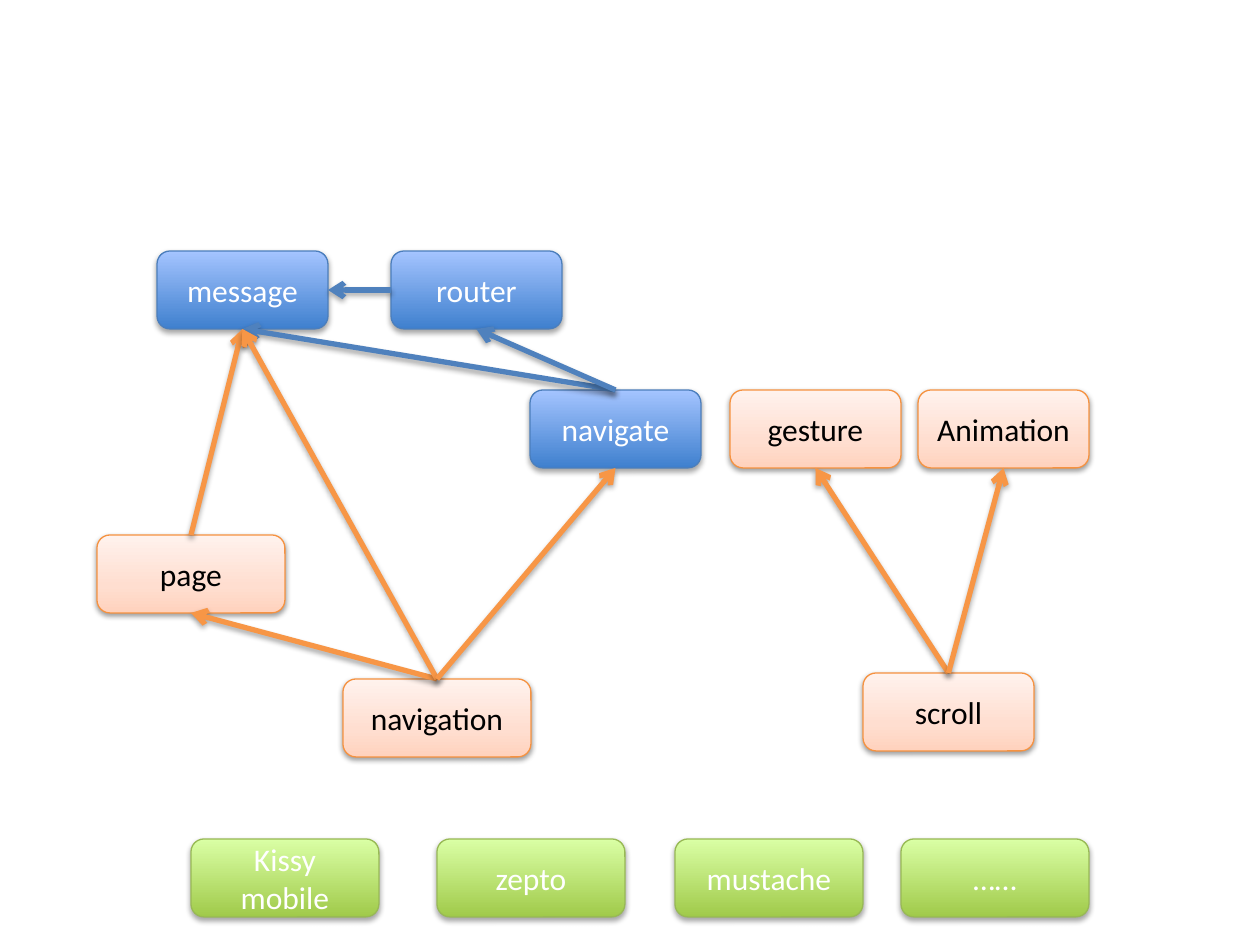
from collections import namedtuple

from lxml import etree
from pptx import Presentation
from pptx.dml.color import RGBColor
from pptx.enum.shapes import MSO_CONNECTOR, MSO_SHAPE
from pptx.enum.text import MSO_ANCHOR, PP_ALIGN
from pptx.oxml.ns import qn
from pptx.util import Pt

ROUND = MSO_SHAPE.ROUNDED_RECTANGLE
LINE = MSO_CONNECTOR.STRAIGHT
CENTER = PP_ALIGN.CENTER
MIDDLE = MSO_ANCHOR.MIDDLE

SCALE = 914400 / 126
NARROW, WIDE, HIGH = 171, 188, 78
TOP, LEFT, BOTTOM, RIGHT = range(4)

BLACK = RGBColor(0x00, 0x00, 0x00)
WHITE = RGBColor(0xFF, 0xFF, 0xFF)
BLUE = RGBColor(0x4F, 0x81, 0xBD)
ORANGE = RGBColor(0xF7, 0x96, 0x46)

# stops: (percent, colour) from bottom to top; shade: (alpha percent, distance)
Look = namedtuple("Look", "stops edge ink shade")
DEEP = (35, 23000)
SOFT = (38, 20000)
CORE = Look([(0, RGBColor(0x3F, 0x80, 0xCE)), (100, RGBColor(0xA4, 0xC4, 0xFF))],
            RGBColor(0x4B, 0x7E, 0xBC), WHITE, DEEP)
PART = Look([(0, RGBColor(0xFF, 0xD2, 0xBD)), (35, RGBColor(0xFF, 0xDE, 0xD0)),
             (100, RGBColor(0xFF, 0xF2, 0xED))],
            RGBColor(0xF6, 0x92, 0x40), BLACK, SOFT)
LIB = Look([(0, RGBColor(0xA0, 0xCA, 0x4A)), (100, RGBColor(0xDA, 0xFF, 0xA5))],
           RGBColor(0x98, 0xB9, 0x55), WHITE, DEEP)


def emu(px):
    """Turn pixels into EMU."""
    return round(px * SCALE)


def add(parent, tag, **attrs):
    """Append a drawing element with its attributes."""
    return etree.SubElement(parent, qn(tag), {k: str(v) for k, v in attrs.items()})


def tint(parent, color):
    """Append an RGB colour element."""
    return add(parent, "a:srgbClr", val=color)


def shade(props, alpha, dist):
    """Append a shadow that falls straight down."""
    drop = add(add(props, "a:effectLst"), "a:outerShdw", blurRad=40000,
               dist=dist, dir=5400000, rotWithShape=0)
    add(tint(drop, BLACK), "a:alpha", val=alpha * 1000)


def node(slide, text, look, x, y, width=NARROW):
    """Draw one labelled module box."""
    box = slide.shapes.add_shape(ROUND, emu(x), emu(y), emu(width), emu(HIGH))
    box.fill.gradient()
    box.fill.gradient_angle = 90
    props = box._element.spPr
    stops = props.find(".//" + qn("a:gsLst"))
    for stop in list(stops):
        stops.remove(stop)
    for pos, color in look.stops:
        tint(add(stops, "a:gs", pos=pos * 1000), color)
    box.line.color.rgb = look.edge
    box.line.width = Pt(0.75)
    shade(props, *look.shade)

    frame = box.text_frame
    frame.word_wrap = True
    frame.vertical_anchor = MIDDLE
    para = frame.paragraphs[0]
    para.text = text
    para.alignment = CENTER
    para.font.name = "Calibri"
    para.font.size = Pt(18)
    para.font.color.rgb = look.ink
    return box


def arrow(slide, start, end, color, sites=(TOP, BOTTOM)):
    """Glue an arrow from one box to another."""
    link = slide.shapes.add_connector(LINE, 0, 0, 0, 0)
    link.begin_connect(start, sites[0])
    link.end_connect(end, sites[1])
    link.line.color.rgb = color
    link.line.width = Pt(3)
    props = link._element.spPr
    add(props.find(qn("a:ln")), "a:tailEnd", type="arrow")
    shade(props, *DEEP)


def pages(slide, x, y):
    """Draw the message, routing and page modules."""
    message = node(slide, "message", CORE, x + 60, y)
    router = node(slide, "router", CORE, x + 294, y)
    navigate = node(slide, "navigate", CORE, x + 433, y + 139)
    page = node(slide, "page", PART, x, y + 284, WIDE)
    menu = node(slide, "navigation", PART, x + 246, y + 428, WIDE)
    arrow(slide, router, message, BLUE, (LEFT, RIGHT))
    arrow(slide, navigate, message, BLUE)
    arrow(slide, page, message, ORANGE)
    for end in (page, message, navigate):
        arrow(slide, menu, end, ORANGE)
    arrow(slide, navigate, router, BLUE)


def motion(slide, x, y):
    """Draw the scroll module and the two it depends on."""
    scroll = node(slide, "scroll", PART, x + 133, y + 283)
    for text, step in (("gesture", 0), ("Animation", 188)):
        arrow(slide, scroll, node(slide, text, PART, x + step, y), ORANGE)


def libs(slide, x, y):
    """Draw the row of base libraries."""
    row = (("Kissy mobile", 0), ("zepto", 246), ("mustache", 484), ("……", 710))
    for text, step in row:
        node(slide, text, LIB, x + step, y, WIDE)


deck = Presentation()
deck.slide_width, deck.slide_height = emu(1260), emu(945)
slide = deck.slides.add_slide(deck.slide_layouts[6])
pages(slide, 97, 251)
motion(slide, 730, 390)
libs(slide, 191, 839)
deck.save("out.pptx")
